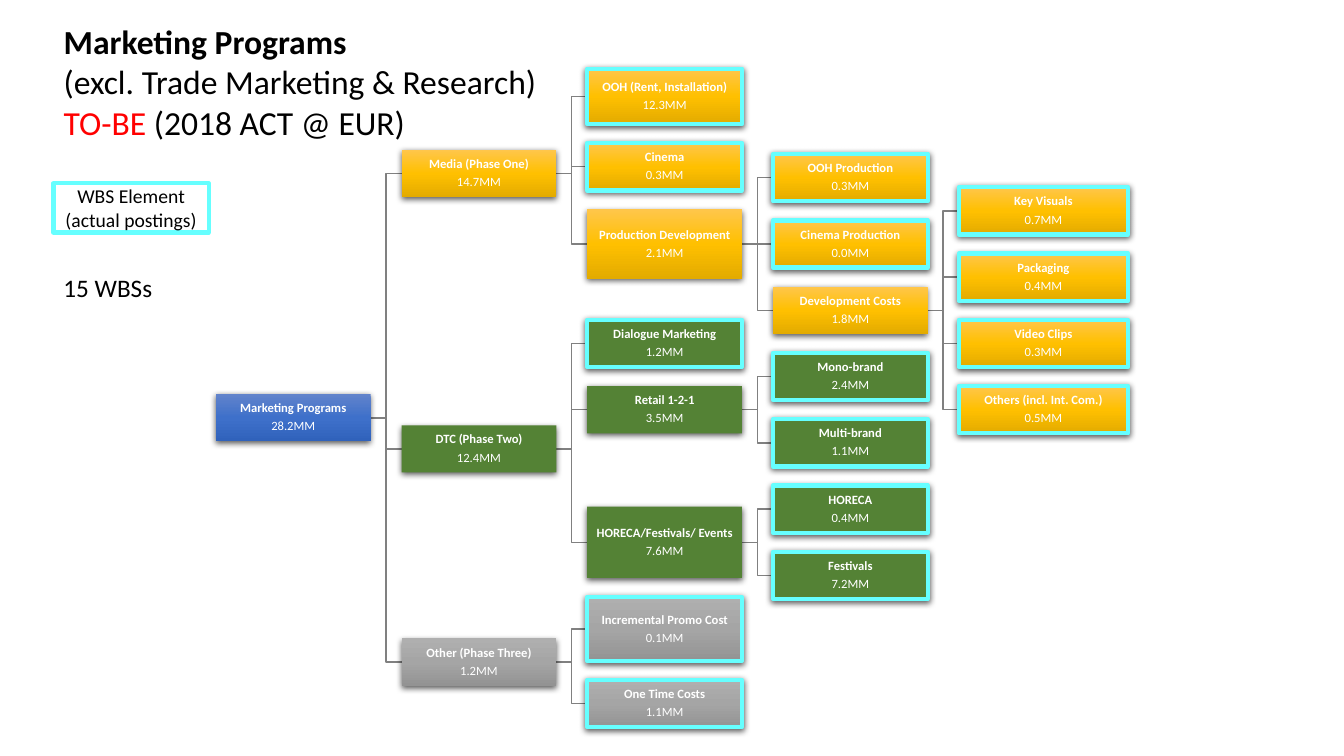
from dataclasses import dataclass, field

import lxml.etree
import pptx
import pptx.dml.color
import pptx.enum.shapes
import pptx.enum.text
import pptx.oxml
import pptx.oxml.ns
import pptx.shapes.autoshape
import pptx.slide
import pptx.text.text
import pptx.util

Cm = pptx.util.Cm
Pt = pptx.util.Pt
Rgb = pptx.dml.color.RGBColor
Align = pptx.enum.text.PP_ALIGN
Anchor = pptx.enum.text.MSO_ANCHOR
Box = pptx.shapes.autoshape.Shape


@dataclass(frozen=True)
class Theme:
    face: str = "Calibri"
    ink: str = "000000"
    pale: str = "FFFFFF"
    alert: str = "FF0000"
    link: str = "808080"
    edge: str = "66FFFF"
    blue: tuple[str, ...] = ("6183CB", "3E70CA", "3062BB")
    gold: tuple[str, ...] = ("FFC64B", "FFC000", "E3AB00")
    green: tuple[str, ...] = ("548235",)
    grey: tuple[str, ...] = ("AFAFAF", "A5A5A5", "939393")
    head: int = 24
    note: int = 18
    key: int = 14
    body: int = 9


THEME = Theme()

# Tree grid, in centimetres
LEFT, TOP = 5.44, 1.73
STEP, GAP = 4.68, 0.48
WIDE, TALL = 3.9, 1.19


@dataclass
class Node:
    name: str
    cost: str
    kids: list["Node"] = field(default_factory=list)
    tint: tuple[str, ...] = ()
    tall: float = TALL
    wide: float = WIDE
    col: int = 0
    top: float = 0


def visual(name: str, cost: str) -> Node:
    return Node(name, cost, wide=4.27)


MEDIA = Node("Media (Phase One)", "14.7MM", [
    Node("OOH (Rent, Installation)", "12.3MM", tall=1.4),
    Node("Cinema", "0.3MM"),
    Node("Production Development", "2.1MM", [
        Node("OOH Production", "0.3MM"),
        Node("Cinema Production", "0.0MM"),
        Node("Development Costs", "1.8MM", [
            visual("Key Visuals", "0.7MM"),
            visual("Packaging", "0.4MM"),
            visual("Video Clips", "0.3MM"),
            visual("Others (incl. Int. Com.)", "0.5MM"),
        ]),
    ], tall=1.74),
], THEME.gold)
DTC = Node("DTC (Phase Two)", "12.4MM", [
    Node("Dialogue Marketing", "1.2MM"),
    Node("Retail 1-2-1", "3.5MM", [
        Node("Mono-brand", "2.4MM"),
        Node("Multi-brand", "1.1MM"),
    ]),
    Node("HORECA/Festivals/ Events", "7.6MM", [
        Node("HORECA", "0.4MM"),
        Node("Festivals", "7.2MM"),
    ], tall=1.8),
], THEME.green)
OTHER = Node("Other (Phase Three)", "1.2MM", [
    Node("Incremental Promo Cost", "0.1MM", tall=1.61),
    Node("One Time Costs", "1.1MM"),
], THEME.grey)
ROOT = Node("Marketing Programs", "28.2MM", [MEDIA, DTC, OTHER], THEME.blue)


def arrange(node: Node, col: int = 0) -> list[Node]:
    """Pack each branch under the one before, and centre parents on their kids."""
    node.col = col
    placed: list[Node] = []
    for kid in node.kids:
        kid.tint = kid.tint or node.tint
        branch = arrange(kid, col + 1)
        drop = max((a.top + a.tall + GAP - b.top
                    for a in placed for b in branch if a.col == b.col), default=0)
        for item in branch:
            item.top += drop
        placed += branch
    if node.kids:
        last = node.kids[-1]
        node.top = (node.kids[0].top + last.top + last.tall - node.tall) / 2
    return [node, *placed]


def style(para: pptx.text.text._Paragraph, size: int, color: str, bold: bool = False) -> None:
    font = para.font
    font.name, font.size, font.bold = THEME.face, Pt(size), bold
    font.color.rgb = Rgb.from_string(color)


def outline(box: Box) -> None:
    box.line.color.rgb = Rgb.from_string(THEME.edge)
    box.line.width = Pt(3)


def paint(box: Box, tint: tuple[str, ...]) -> None:
    """Fill with one colour, or fade evenly from top to bottom through several."""
    if len(tint) == 1:
        box.fill.solid()
        box.fill.fore_color.rgb = Rgb.from_string(tint[0])
        return
    stops = "".join(f'<a:gs pos="{100000 * i // (len(tint) - 1)}"><a:srgbClr val="{color}"/></a:gs>'
                    for i, color in enumerate(tint))
    box.fill.background()
    props = box.element.spPr
    props.replace(props.find(pptx.oxml.ns.qn("a:noFill")), pptx.oxml.parse_xml(
        f'<a:gradFill {pptx.oxml.ns.nsdecls("a")} rotWithShape="1"><a:gsLst>{stops}</a:gsLst>'
        '<a:lin ang="5400000" scaled="0"/></a:gradFill>'))


def shade(box: Box) -> None:
    box.shadow.inherit = False
    effects = box.element.spPr.find(pptx.oxml.ns.qn("a:effectLst"))
    effects.append(pptx.oxml.parse_xml(
        f'<a:outerShdw {pptx.oxml.ns.nsdecls("a")} blurRad="{Pt(4.5)}" dist="{Pt(1.5)}" '
        'dir="5400000" algn="ctr" rotWithShape="0"><a:srgbClr val="000000">'
        '<a:alpha val="63000"/></a:srgbClr></a:outerShdw>'))


def rect(slide: pptx.slide.Slide, left: float, top: float, wide: float, tall: float) -> Box:
    return slide.shapes.add_shape(pptx.enum.shapes.MSO_SHAPE.RECTANGLE,
                                  Cm(left), Cm(top), Cm(wide), Cm(tall))


def draw(slide: pptx.slide.Slide, node: Node) -> Box:
    """Draw a node and its branch; nodes without kids take postings."""
    box = rect(slide, LEFT + node.col * STEP, node.top, node.wide, node.tall)
    paint(box, node.tint)
    if node.kids:
        box.line.fill.background()
    else:
        outline(box)
    shade(box)
    frame = box.text_frame
    frame.margin_left = frame.margin_right = frame.margin_top = frame.margin_bottom = Cm(0.03)
    frame.text = f"{node.name}\n{node.cost}"
    for para, bold in zip(frame.paragraphs, (True, False)):
        para.alignment, para.line_spacing, para.space_after = Align.CENTER, 0.9, Pt(3.15)
        style(para, THEME.body, THEME.pale, bold)
    for kid in node.kids:
        join(slide, box, draw(slide, kid))
    return box


def join(slide: pptx.slide.Slide, start: Box, end: Box) -> None:
    """Link two boxes with an elbow that lies behind them."""
    link = slide.shapes.add_connector(pptx.enum.shapes.MSO_CONNECTOR.ELBOW, 0, 0, 0, 0)
    link.begin_connect(start, 3)
    link.end_connect(end, 1)
    link.line.color.rgb = Rgb.from_string(THEME.link)
    link.line.width = Pt(1)
    lxml.etree.SubElement(link.element.spPr, pptx.oxml.ns.qn("a:effectLst"))
    link.element.getparent().insert(2, link.element)


def head(slide: pptx.slide.Slide) -> None:
    """Set the title so that it ends above the first phase box."""
    title = slide.shapes.title
    title.left, title.top, title.width, title.height = Cm(1.35), Cm(0.4), Cm(13.2), Cm(3.3)
    frame = title.text_frame
    frame.word_wrap, frame.vertical_anchor = True, Anchor.TOP
    frame.auto_size = pptx.enum.text.MSO_AUTO_SIZE.NONE
    frame.text = "Marketing Programs\n(excl. Trade Marketing & Research)\n"
    state = frame.paragraphs[2].add_run()
    state.text = "TO-BE"
    state.font.color.rgb = Rgb.from_string(THEME.alert)
    frame.paragraphs[2].add_run().text = " (2018 ACT @ EUR)"
    for para, bold in zip(frame.paragraphs, (True, False, False)):
        para.alignment = Align.LEFT
        style(para, THEME.head, THEME.ink, bold)


def legend(slide: pptx.slide.Slide) -> None:
    count = slide.shapes.add_textbox(Cm(1.35), Cm(6.74), Cm(6.22), Cm(1.02)).text_frame
    count.word_wrap = True
    count.text = "15 WBSs"
    style(count.paragraphs[0], THEME.note, THEME.ink)
    key = rect(slide, 1.35, 4.62, 3.91, 1.24)
    key.shadow.inherit = False
    key.fill.background()
    outline(key)
    key.text_frame.text = "WBS Element (actual postings)"
    key.text_frame.paragraphs[0].alignment = Align.CENTER
    style(key.text_frame.paragraphs[0], THEME.key, THEME.ink)


def main() -> None:
    deck = pptx.Presentation()
    deck.slide_width, deck.slide_height = Cm(33.87), Cm(19.05)
    slide = deck.slides.add_slide(deck.slide_layouts[5])
    nodes = arrange(ROOT)
    shift = TOP - min(node.top for node in nodes)
    for node in nodes:
        node.top += shift
    draw(slide, ROOT)
    head(slide)
    legend(slide)
    deck.save("out.pptx")


if __name__ == "__main__":
    main()
